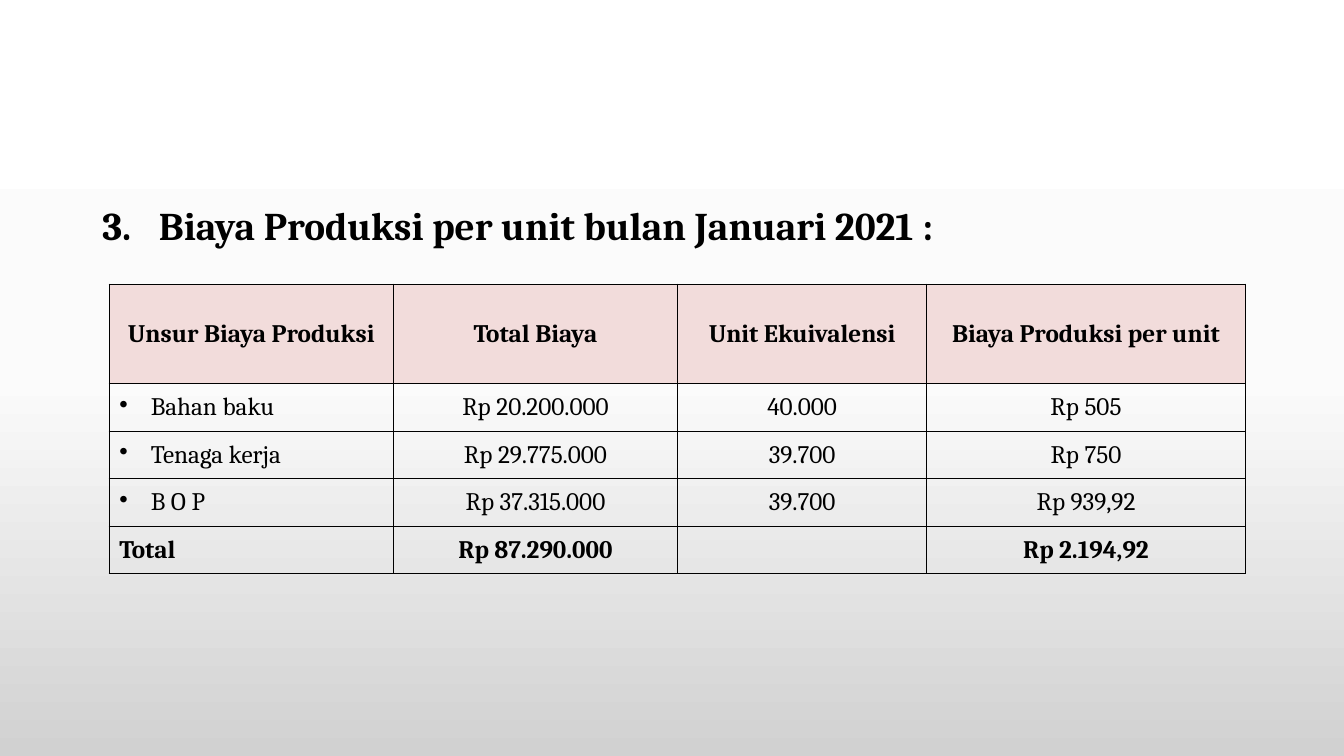
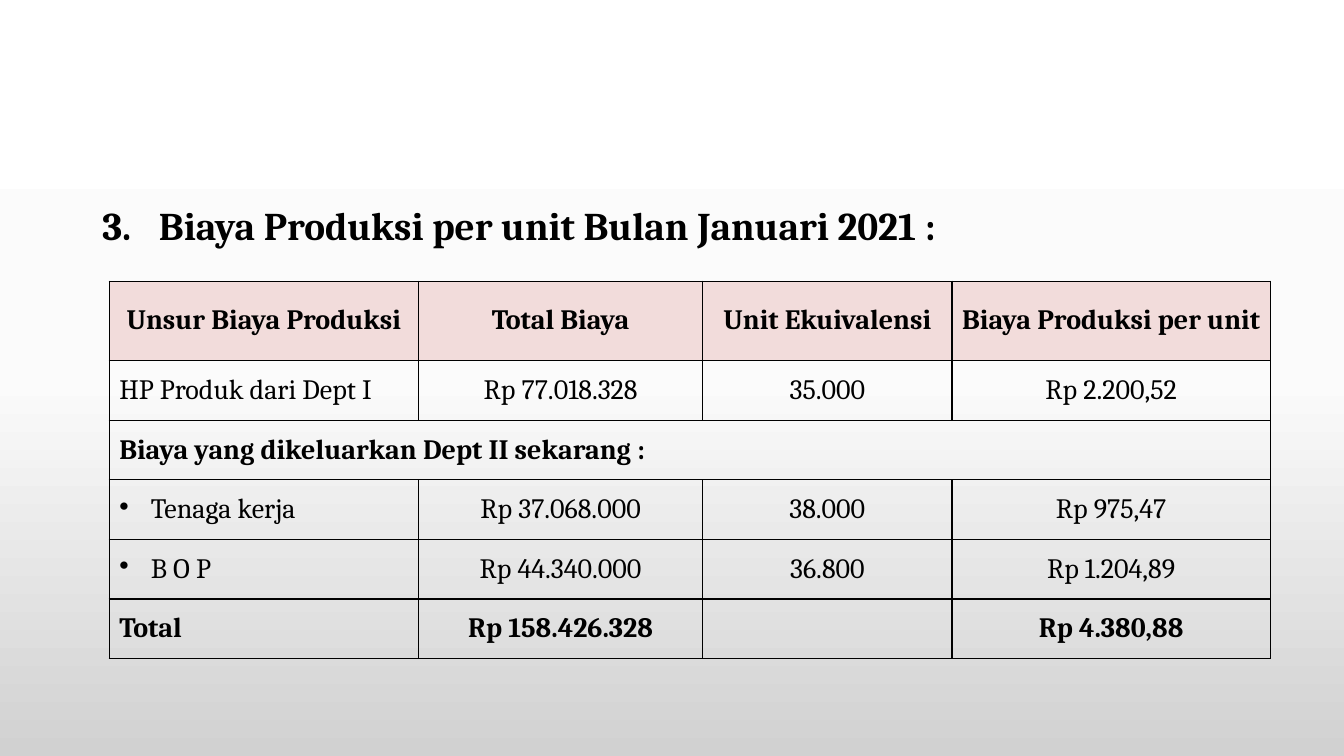
import copy
from dataclasses import dataclass
from enum import Enum

import lxml.etree
import pptx
import pptx.dml.color
import pptx.enum.text
import pptx.oxml.ns
import pptx.util

Pt = pptx.util.Pt
Align = pptx.enum.text.PP_ALIGN
Anchor = pptx.enum.text.MSO_ANCHOR
qn = pptx.oxml.ns.qn


@dataclass(frozen=True)
class Theme:
    font: str = "Cambria"
    ink: str = "000000"
    header_fill: str = "F2DCDB"
    backdrop: tuple[tuple[float, str], ...] = ((0, "FFFFFF"), (0.5, "FBFBFB"), (1, "D1D1D1"))
    title_size: float = 28
    border_width: float = 1


THEME = Theme()


class Kind(Enum):
    HEADER = "header"
    PLAIN = "plain"
    BULLET = "bullet"
    SECTION = "section"
    TOTAL = "total"


@dataclass(frozen=True)
class CostRow:
    kind: Kind
    texts: tuple[str, ...]


@dataclass(frozen=True)
class CostSlide:
    title: str
    top: float
    text_size: float
    first_column: float
    header_height: float
    row_height: float
    rows: tuple[CostRow, ...]


TABLE_LEFT = 78
OTHER_COLUMNS = (203, 178, 227.5)
HEADER = CostRow(
    Kind.HEADER,
    ("Unsur Biaya Produksi", "Total Biaya", "Unit Ekuivalensi", "Biaya Produksi per unit"),
)

COST_SLIDES = (
    CostSlide(
        "Biaya Produksi per unit bulan Januari 2021 :",
        top=203, text_size=18, first_column=203, header_height=71, row_height=34,
        rows=(
            HEADER,
            CostRow(Kind.BULLET, ("Bahan baku", "Rp 20.200.000", "40.000", "Rp 505")),
            CostRow(Kind.BULLET, ("Tenaga kerja", "Rp 29.775.000", "39.700", "Rp 750")),
            CostRow(Kind.BULLET, ("B O P", "Rp 37.315.000", "39.700", "Rp 939,92")),
            CostRow(Kind.TOTAL, ("Total", "Rp 87.290.000", "", "Rp 2.194,92")),
        ),
    ),
    CostSlide(
        "Biaya Produksi per unit Bulan Januari 2021 :",
        top=200.8, text_size=20, first_column=221, header_height=56.8, row_height=42.6,
        rows=(
            HEADER,
            CostRow(Kind.PLAIN, ("HP Produk dari Dept I", "Rp 77.018.328", "35.000", "Rp 2.200,52")),
            CostRow(Kind.SECTION, ("Biaya yang dikeluarkan Dept II sekarang :",)),
            CostRow(Kind.BULLET, ("Tenaga kerja", "Rp 37.068.000", "38.000", "Rp 975,47")),
            CostRow(Kind.BULLET, ("B O P", "Rp 44.340.000", "36.800", "Rp 1.204,89")),
            CostRow(Kind.TOTAL, ("Total", "Rp 158.426.328", "", "Rp 4.380,88")),
        ),
    ),
)


def rgb(value: str) -> pptx.dml.color.RGBColor:
    return pptx.dml.color.RGBColor.from_string(value)


def write_text(frame, text: str, *, size: float, bold: bool = False, align=Align.LEFT,
               indent: float = 0, bullet: str = "", number: int = 0,
               line_spacing: float = 1) -> None:
    para = frame.paragraphs[0]
    para.alignment = align
    para.line_spacing = line_spacing
    properties = para._p.get_or_add_pPr()
    if indent:
        properties.set("marL", str(Pt(indent)))
        properties.set("indent", str(-Pt(indent)))
    if bullet:
        lxml.etree.SubElement(properties, qn("a:buChar"), char=bullet)
    if number:
        lxml.etree.SubElement(properties, qn("a:buAutoNum"), type="arabicPeriod", startAt=str(number))
    span = para.add_run()
    span.text = text
    span.font.name = THEME.font
    span.font.size = Pt(size)
    span.font.bold = bold
    span.font.color.rgb = rgb(THEME.ink)


def paint_backdrop(master) -> None:
    fill = master.background.fill
    fill.gradient()
    fill.gradient_angle = 270
    stops = master.element.xpath("./p:cSld/p:bg//a:gsLst")[0]
    while len(stops) < len(THEME.backdrop):
        stops.append(copy.deepcopy(stops[0]))
    for stop, (position, color) in zip(fill.gradient_stops, THEME.backdrop):
        stop.position = position
        stop.color.rgb = rgb(color)


def draw_borders(cell) -> None:
    properties = cell._tc.get_or_add_tcPr()
    for side in ("a:lnL", "a:lnR", "a:lnT", "a:lnB"):
        line = lxml.etree.SubElement(properties, qn(side), w=str(Pt(THEME.border_width)))
        solid = lxml.etree.SubElement(line, qn("a:solidFill"))
        lxml.etree.SubElement(solid, qn("a:srgbClr"), val=THEME.ink)


def style_cell(cell, kind: Kind) -> None:
    draw_borders(cell)
    cell.vertical_anchor = Anchor.MIDDLE
    if kind is Kind.HEADER:
        cell.fill.solid()
        cell.fill.fore_color.rgb = rgb(THEME.header_fill)
    else:
        cell.fill.background()


def add_title(page, title: str) -> None:
    box = page.shapes.add_textbox(Pt(66), Pt(144), Pt(828), Pt(42))
    box.text_frame.word_wrap = True
    write_text(box.text_frame, title, size=THEME.title_size, bold=True,
               indent=40.5, number=3, line_spacing=0.9)


def add_cost_table(page, content: CostSlide) -> None:
    widths = (content.first_column, *OTHER_COLUMNS)
    heights = (content.header_height, *[content.row_height] * (len(content.rows) - 1))
    table = page.shapes.add_table(
        len(heights), len(widths), Pt(TABLE_LEFT), Pt(content.top), Pt(sum(widths)), Pt(sum(heights))
    ).table
    table.first_row = False
    table.horz_banding = False
    for column, width in zip(table.columns, widths):
        column.width = Pt(width)
    for index, (row, height) in enumerate(zip(content.rows, heights)):
        table.rows[index].height = Pt(height)
        for cell in table.rows[index].cells:
            style_cell(cell, row.kind)
        if row.kind is Kind.SECTION:
            table.cell(index, 0).merge(table.cell(index, len(widths) - 1))
        for position, text in enumerate(row.texts):
            if not text:
                continue
            bulleted = row.kind is Kind.BULLET and position == 0
            centred = row.kind is Kind.HEADER or position > 0
            write_text(
                table.cell(index, position).text_frame, text,
                size=content.text_size,
                bold=row.kind in (Kind.HEADER, Kind.SECTION, Kind.TOTAL),
                align=Align.CENTER if centred else Align.LEFT,
                indent=22.5 if bulleted else 0,
                bullet="•" if bulleted else "",
            )


def main() -> None:
    deck = pptx.Presentation()
    deck.slide_width = Pt(960)
    deck.slide_height = Pt(540)
    paint_backdrop(deck.slide_master)
    for content in COST_SLIDES:
        page = deck.slides.add_slide(deck.slide_layouts[6])
        add_title(page, content.title)
        add_cost_table(page, content)
    deck.save("out.pptx")


if __name__ == "__main__":
    main()
